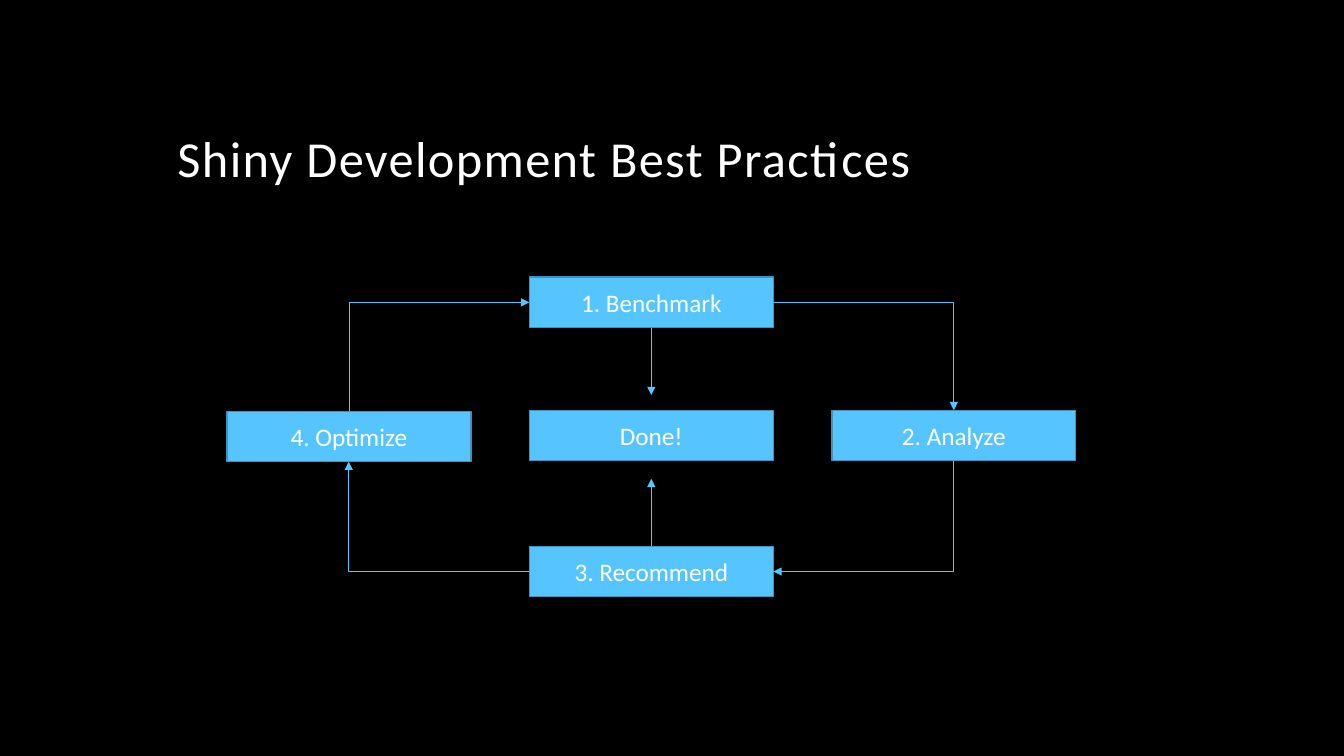
"""Build the Shiny development best practices cycle slide."""
import pptx
import pptx.dml.color
import pptx.enum.shapes
import pptx.enum.text
import pptx.oxml
import pptx.oxml.ns
import pptx.util
from pptx.util import Inches

TITLE = "Shiny Development Best Practices"
FONT = "Calibri"
WHITE, BLACK, BLUE, EDGE = "FFFFFF", "000000", "56C5FF", "4092BD"
BOX_W, BOX_H = 2.42, 0.5
BOXES = {
    "1. Benchmark": (5.25, 2.75),
    "Done!": (5.25, 4.07),
    "2. Analyze": (8.25, 4.07),
    "3. Recommend": (5.25, 5.42),
    "4. Optimize": (2.25, 4.08),
}
TOP, LEFT, BOTTOM, RIGHT = range(4)
CYCLE = [
    ("1. Benchmark", RIGHT, "2. Analyze", TOP),
    ("2. Analyze", BOTTOM, "3. Recommend", RIGHT),
    ("3. Recommend", LEFT, "4. Optimize", BOTTOM),
    ("4. Optimize", TOP, "1. Benchmark", LEFT),
]
EXITS = [("1. Benchmark", BOTTOM, 0.67), ("3. Recommend", TOP, -0.67)]


def color(value):
    return pptx.dml.color.RGBColor.from_string(value)


def format_text(tf, size, align):
    p = tf.paragraphs[0]
    p.alignment = align
    r = p.runs[0]
    r.font.name, r.font.size = FONT, pptx.util.Pt(size)
    r.font.color.rgb = color(WHITE)
    return p, r


def add_box(s, text, left, top):
    sp = s.shapes.add_shape(pptx.enum.shapes.MSO_SHAPE.RECTANGLE,
                            Inches(left), Inches(top), Inches(BOX_W), Inches(BOX_H))
    sp.shadow.inherit = False
    sp.fill.solid()
    sp.fill.fore_color.rgb = color(BLUE)
    sp.line.color.rgb = color(EDGE)
    sp.line.width = pptx.util.Pt(1)
    tf = sp.text_frame
    tf.text = text
    tf.vertical_anchor = pptx.enum.text.MSO_ANCHOR.MIDDLE
    format_text(tf, 18, pptx.enum.text.PP_ALIGN.CENTER)
    return sp


def add_arrow(s, kind):
    c = s.shapes.add_connector(kind, 0, 0, 0, 0)
    c.line.color.rgb = color(BLUE)
    c.line.width = pptx.util.Pt(0.5)
    tail = pptx.oxml.parse_xml(
        f'<a:tailEnd {pptx.oxml.ns.nsdecls("a")} type="triangle"/>')
    c.line._get_or_add_ln().append(tail)
    spPr = c._element.spPr
    spPr.append(pptx.oxml.parse_xml(f'<a:effectLst {pptx.oxml.ns.nsdecls("a")}/>'))
    return c


def add_bend(s, start, start_side, end, end_side):
    c = add_arrow(s, pptx.enum.shapes.MSO_CONNECTOR.ELBOW)
    c.begin_connect(start, start_side)
    c.end_connect(end, end_side)
    spPr = c._element.spPr
    spPr.find(pptx.oxml.ns.qn("a:prstGeom")).set("prst", "bentConnector2")
    if start_side in (TOP, BOTTOM):
        mid_x, mid_y = (c.begin_x + c.end_x) // 2, (c.begin_y + c.end_y) // 2
        dx, dy = (c.end_x - c.begin_x) // 2, (c.end_y - c.begin_y) // 2
        c.begin_x, c.begin_y = mid_x - dy, mid_y + dx
        c.end_x, c.end_y = mid_x + dy, mid_y - dx
        spPr.find(pptx.oxml.ns.qn("a:xfrm")).set("rot", str(90 * 60000))


def add_exit(s, start, side, length):
    c = add_arrow(s, pptx.enum.shapes.MSO_CONNECTOR.STRAIGHT)
    c.begin_connect(start, side)
    c.end_x, c.end_y = c.begin_x, c.begin_y + Inches(length)


def main():
    prs = pptx.Presentation()
    prs.slide_width, prs.slide_height = Inches(13.33), Inches(7.5)
    s = prs.slides.add_slide(prs.slide_layouts[5])
    s.background.fill.solid()
    s.background.fill.fore_color.rgb = color(BLACK)

    title = s.shapes.title
    title.left, title.top = Inches(1.66), Inches(0.42)
    title.width, title.height = Inches(10), Inches(1.5)
    tf = title.text_frame
    tf.text = TITLE
    tf.word_wrap = True
    tf.auto_size = pptx.enum.text.MSO_AUTO_SIZE.NONE
    tf.vertical_anchor = pptx.enum.text.MSO_ANCHOR.BOTTOM
    p, r = format_text(tf, 36, pptx.enum.text.PP_ALIGN.LEFT)
    p.line_spacing = 0.9
    r.font._element.set("spc", "100")

    boxes = {text: add_box(s, text, *at) for text, at in BOXES.items()}
    for start, start_side, end, end_side in CYCLE:
        add_bend(s, boxes[start], start_side, boxes[end], end_side)
    for start, side, length in EXITS:
        add_exit(s, boxes[start], side, length)
    prs.save("out.pptx")


if __name__ == "__main__":
    main()
